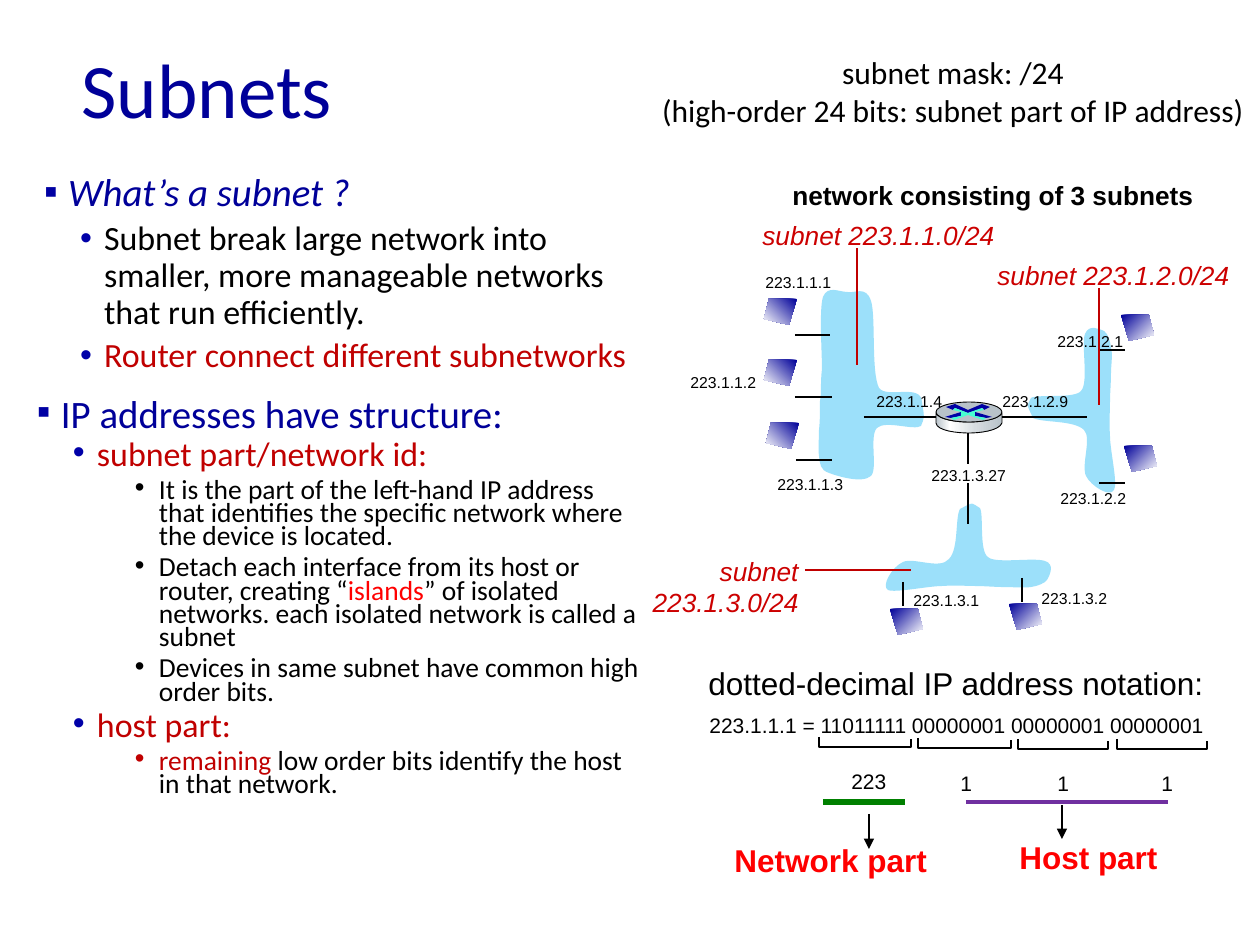
"""Build the slide that explains IP subnets with a network diagram."""
from lxml import etree
from pptx import Presentation, util as u
from pptx.dml.color import RGBColor
from pptx.enum import shapes, text
from pptx.oxml.ns import qn

SCALE = 914400 / 126
C = {"navy": "000099", "bullet": "0000A8", "black": "000000", "white": "FFFFFF",
     "crimson": "C00000", "label": "CC0000", "red": "FF0000", "water": "9CE0FA",
     "steel": "B8C2C9", "silver": "D6DCE0", "arrow": "0000A3", "mint": "47FFD1",
     "green": "008000", "purple": "7030A0"}
HOST = [(0, "navy"), (100, "white")]
METAL = [(0, "steel"), (21, "white"), (60, "silver"), (100, "steel")]
LEVELS = [dict(char="▪", left=24, size=22.2, color="navy", bullet="arrow"),
          dict(char="•", left=60, size=19.4, color="black", bullet="bullet"),
          dict(char="•", left=122, size=15.7, color="black", bullet=None)]


def emu(*values):
    return [u.Emu(round(v * SCALE)) for v in values]


class Deck:
    """Draws styled elements on the current slide."""

    def __init__(self):
        self.prs = Presentation()
        self.prs.slide_width, self.prs.slide_height = emu(1260, 945)
        self.s = self.prs.slides.add_slide(self.prs.slide_layouts[5])

    def run(self, p, words, color, **fmt):
        r = p.add_run()
        r.text = words
        for name, value in fmt.items():
            setattr(r.font, name, value)
        r.font.color.rgb = RGBColor.from_string(C[color])

    def title(self, words, *box):
        sp = self.s.shapes.title
        sp.left, sp.top, sp.width, sp.height = emu(*box)
        tf = sp.text_frame
        tf.vertical_anchor = text.MSO_ANCHOR.MIDDLE
        p = tf.paragraphs[0]
        p.alignment = text.PP_ALIGN.LEFT
        self.run(p, words, "navy", size=u.Pt(44), name="Calibri")

    def label(self, words, box, size, color="black", align="LEFT", font="Arial", **fmt):
        tf = self.s.shapes.add_textbox(*emu(*box)).text_frame
        tf.word_wrap = False
        tf.auto_size = text.MSO_AUTO_SIZE.SHAPE_TO_FIT_TEXT
        for i, line in enumerate(words.split("\n")):
            p = tf.add_paragraph() if i else tf.paragraphs[0]
            p.alignment = getattr(text.PP_ALIGN, align)
            self.run(p, line, color, size=u.Pt(size), name=font, **fmt)

    def bullets(self, box, items, spacing, before):
        tf = self.s.shapes.add_textbox(*emu(*box)).text_frame
        tf.word_wrap = True
        tf.margin_left, tf.margin_top, tf.margin_right, tf.margin_bottom = emu(9, 5, 9, 5)
        for i, (level, runs) in enumerate(items):
            look = LEVELS[level]
            p = tf.add_paragraph() if i else tf.paragraphs[0]
            p.level, p.line_spacing = level, spacing
            p.space_before = u.Pt(0 if i == 0 else before[min(level, 1)])
            pPr = p._p.get_or_add_pPr()
            left, indent = emu(look["left"], -24)
            pPr.set("marL", str(left))
            pPr.set("indent", str(indent))
            if look["bullet"]:
                clr = etree.SubElement(pPr, qn("a:buClr"))
                etree.SubElement(clr, qn("a:srgbClr"), val=C[look["bullet"]])
            etree.SubElement(pPr, qn("a:buFont"), typeface="Arial")
            etree.SubElement(pPr, qn("a:buChar"), char=look["char"])
            for words, color, *style in runs:
                self.run(p, words, color or look["color"], size=u.Pt(look["size"]),
                         name="Calibri", italic="italic" in style)

    def paint(self, sp, fill=None, line=None, width=0.5, angle=0):
        sp.shadow.inherit = False
        if isinstance(fill, list):
            sp.fill.gradient()
            sp.fill.gradient_angle = angle
            stops = sp._element.spPr.find(".//" + qn("a:gsLst"))
            for stop in list(stops):
                stops.remove(stop)
            for pos, color in fill:
                gs = etree.SubElement(stops, qn("a:gs"), pos=str(pos * 1000))
                etree.SubElement(gs, qn("a:srgbClr"), val=C[color])
        elif fill:
            sp.fill.solid()
            sp.fill.fore_color.rgb = RGBColor.from_string(C[fill])
        else:
            sp.fill.background()
        if line:
            sp.line.color.rgb = RGBColor.from_string(C[line])
            sp.line.width = u.Pt(width)
        else:
            sp.line.fill.background()

    def shape(self, kind, box, **style):
        self.paint(self.s.shapes.add_shape(kind, *emu(*box)), **style)

    def outline(self, points, close=True, curved=False, flip=False, **style):
        builder = self.s.shapes.build_freeform(*points[0], scale=SCALE)
        builder.add_line_segments(points[1:], close=close)
        sp = builder.convert_to_shape()
        if curved:
            steps = list(sp._element.iter(qn("a:lnTo")))
            for first, *others in zip(steps[::3], steps[1::3], steps[2::3]):
                first.tag = qn("a:cubicBezTo")
                for step in others:
                    first.append(step[0])
                    step.getparent().remove(step)
        if flip:
            sp._element.spPr.find(qn("a:xfrm")).set("flipH", "1")
        self.paint(sp, **style)

    def line(self, x1, y1, x2, y2, color="black", width=1.5, arrow=False):
        cx = self.s.shapes.add_connector(shapes.MSO_CONNECTOR.STRAIGHT, *emu(x1, y1, x2, y2))
        cx.line.color.rgb = RGBColor.from_string(C[color])
        cx.line.width = u.Pt(width)
        spPr = cx._element.spPr
        if arrow:
            etree.SubElement(spPr.find(qn("a:ln")), qn("a:tailEnd"), type="triangle")
        etree.SubElement(spPr, qn("a:effectLst"))


def draw_text(d):
    d.title("Subnets", 69, 42, 1086, 92)
    d.bullets((35, 168, 611, 229), [
        (0, [("What’s a subnet ?", None, "italic")]),
        (1, [("Subnet break large network into smaller, more manageable networks "
              "that run efficiently.", None)]),
        (1, [("Router connect different subnetworks", "crimson")])], 0.9, (7.5, 3.8))
    d.label("network consisting of 3 subnets", (780, 173, 430, 44), 15, bold=True)
    d.bullets((28, 397, 625, 416), [
        (0, [("IP addresses have structure:", None)]),
        (1, [("subnet part/network id:", "crimson")]),
        (2, [("It is the part of the left-hand IP address that identifies the specific "
              "network where the device is located.", None)]),
        (2, [("Detach each interface from its host or router, creating “", None),
             ("islands", "red"),
             ("” of isolated networks. each isolated network is called a subnet", None)]),
        (2, [("Devices in same subnet have common high order bits.", None)]),
        (1, [("host part:", "crimson")]),
        (2, [("remaining ", "crimson"),
             ("low order bits identify the host in that network.", None)])], 0.7, (7.5, 5))
    d.label("subnet mask: /24\n(high-order 24 bits: subnet part of IP address)",
            (646, 47, 614, 89), 18, align="CENTER", font="Calibri")


def draw_notation(d):
    d.label("223.1.1.1 = 11011111 00000001 00000001 00000001", (697, 706, 530, 38), 12)
    for left, right, top in [(819, 911, 737), (918, 1011, 738), (1018, 1108, 739), (1117, 1207, 739)]:
        d.outline([(left, top), (left, top + 10), (right, top + 10), (right, top + 2)],
                  close=False, line="black", width=1.5)
    for octet, x, y, w in [("223", 839, 762, 60), ("1", 948, 764, 37),
                           ("1", 1149, 764, 37), ("1", 1045, 764, 37)]:
        d.label(octet, (x, y, w, 38), 12)
    d.label("dotted-decimal IP address notation:", (696, 658, 525, 50), 18)
    d.label("Network part", (722, 835, 219, 50), 18, "red", bold=True)
    d.line(869, 814, 869, 849, width=0.75, arrow=True)
    d.label("Host part", (1007, 832, 165, 50), 18, "red", bold=True)
    d.line(966, 802, 1168, 802, "purple", 2.25)
    d.line(1062, 805, 1062, 839, width=0.75, arrow=True)
    d.line(823, 802, 905, 802, "green", 3)


def draw_network(d):
    bottom = [(960, 509), (955, 518), (959, 549), (949, 559), (940, 570), (914, 557), (903, 562),
              (892, 567), (881, 586), (888, 590), (895, 593), (929, 586), (942, 586),
              (958, 585), (965, 586), (975, 586), (985, 586), (995, 587), (1004, 587),
              (1013, 587), (1024, 588), (1031, 587), (1038, 586), (1045, 583), (1047, 580),
              (1050, 575), (1055, 564), (1045, 561), (1034, 557), (995, 564), (988, 557),
              (979, 551), (984, 514), (980, 508), (971, 503), (975, 501), (960, 509)]
    right = [(1033, 418), (1042, 423), (1074, 420), (1084, 430), (1092, 438), (1081, 465), (1086, 476),
             (1091, 486), (1110, 498), (1114, 490), (1118, 484), (1110, 450), (1110, 436),
             (1109, 421), (1110, 413), (1110, 403), (1110, 393), (1111, 383), (1111, 374),
             (1111, 365), (1113, 354), (1111, 348), (1110, 340), (1108, 334), (1104, 331),
             (1099, 329), (1089, 324), (1085, 334), (1081, 344), (1089, 383), (1081, 391),
             (1075, 399), (1038, 394), (1031, 398), (1027, 407), (1026, 403), (1033, 418)]
    left = [(922, 402), (921, 383), (887, 399), (879, 388), (871, 372), (876, 316), (871, 301),
            (866, 285), (854, 294), (847, 292), (839, 292), (828, 285), (823, 297),
            (819, 310), (822, 352), (822, 369), (820, 386), (822, 391), (820, 401),
            (820, 411), (820, 421), (819, 430), (819, 438), (818, 450), (819, 456),
            (820, 464), (820, 470), (829, 473), (837, 476), (862, 484), (871, 476),
            (878, 469), (869, 436), (877, 428), (886, 420), (914, 431), (921, 426),
            (924, 418), (925, 420), (922, 402)]
    for island in (bottom, right, left):
        d.outline(island, curved=True, fill="water")
    d.line(968, 432, 968, 524)
    for box in [(687, 374, 86, 19), (925, 464, 88, 19)]:
        d.shape(shapes.MSO_SHAPE.RECTANGLE, box, fill="white")
    for host, x, y in [("1.1", 753, 267), ("1.2", 678, 367), ("1.3", 765, 469), ("1.4", 864, 386),
                       ("2.9", 990, 386), ("2.2", 1048, 483), ("2.1", 1045, 326),
                       ("3.2", 1029, 583), ("3.1", 901, 585), ("3.27", 919, 460)]:
        d.label("223.1." + host, (x, y, 101 if host == "3.27" else 92, 32), 9)
    for ends in [(795, 335, 830, 335), (795, 397, 832, 397), (796, 460, 832, 460),
                 (1099, 350, 1125, 350), (1099, 483, 1125, 483), (903, 582, 903, 606),
                 (1022, 578, 1022, 602), (864, 417, 946, 417), (987, 417, 1087, 417)]:
        d.line(*ends)
    for x, y, flip in [(764, 299, True), (764, 360, True), (766, 423, True), (1121, 315, False),
                       (1124, 446, False), (1009, 604, False), (890, 609, False)]:
        d.outline([(x, y), (x + 28, y), (x + 33, y + 20), (x + 8, y + 26)],
                  flip=flip, fill=HOST, angle=315)


def draw_router(d):
    d.outline([(1002, 413), *[(1002, 423)] * 3, (999, 431), (979, 433), (969, 433),
               (958, 433), (937, 431), (936, 423), (936, 421), (936, 416), (936, 413),
               (939, 420), (958, 422), (968, 422), (979, 422), (998, 420), (1002, 413)],
              curved=True, fill=METAL, line="black")
    d.shape(shapes.MSO_SHAPE.OVAL, (936, 402, 66, 20), fill="steel", line="black")
    for color, points in [
            ("arrow", [(982, 404), (990, 407), (984, 410), (983, 408), (968, 413),
                       (955, 408), (953, 410), (946, 407), (955, 404), (968, 410)]),
            ("arrow", [(975, 412), (992, 417), (986, 418), (975, 416)]),
            ("bullet", [(961, 412), (961, 416), (951, 418), (945, 417)]),
            ("mint", [(953, 410), (955, 408), (968, 413), (982, 408), (984, 410), (975, 412), (975, 416),
                      (986, 418), (983, 420), (968, 415), (954, 420), (951, 418), (961, 416), (961, 412)])]:
        d.outline(points, fill=color)


def draw_subnet_labels(d):
    d.label("subnet\n223.1.3.0/24", (638, 549, 173, 77), 15, "label", "RIGHT", italic=True)
    d.line(805, 570, 911, 570, "crimson", 1.25)
    for words, x, y, pointer in [("subnet 223.1.1.0/24", 750, 213, 857),
                                 ("subnet 223.1.2.0/24", 985, 253, 1099)]:
        d.label(words, (x, y, 260, 44), 15, "label", italic=True)
        d.line(pointer, y + 35, pointer, y + 152, "crimson")


def main():
    d = Deck()
    for draw in (draw_text, draw_notation, draw_network, draw_router, draw_subnet_labels):
        draw(d)
    d.prs.save("out.pptx")


if __name__ == "__main__":
    main()
